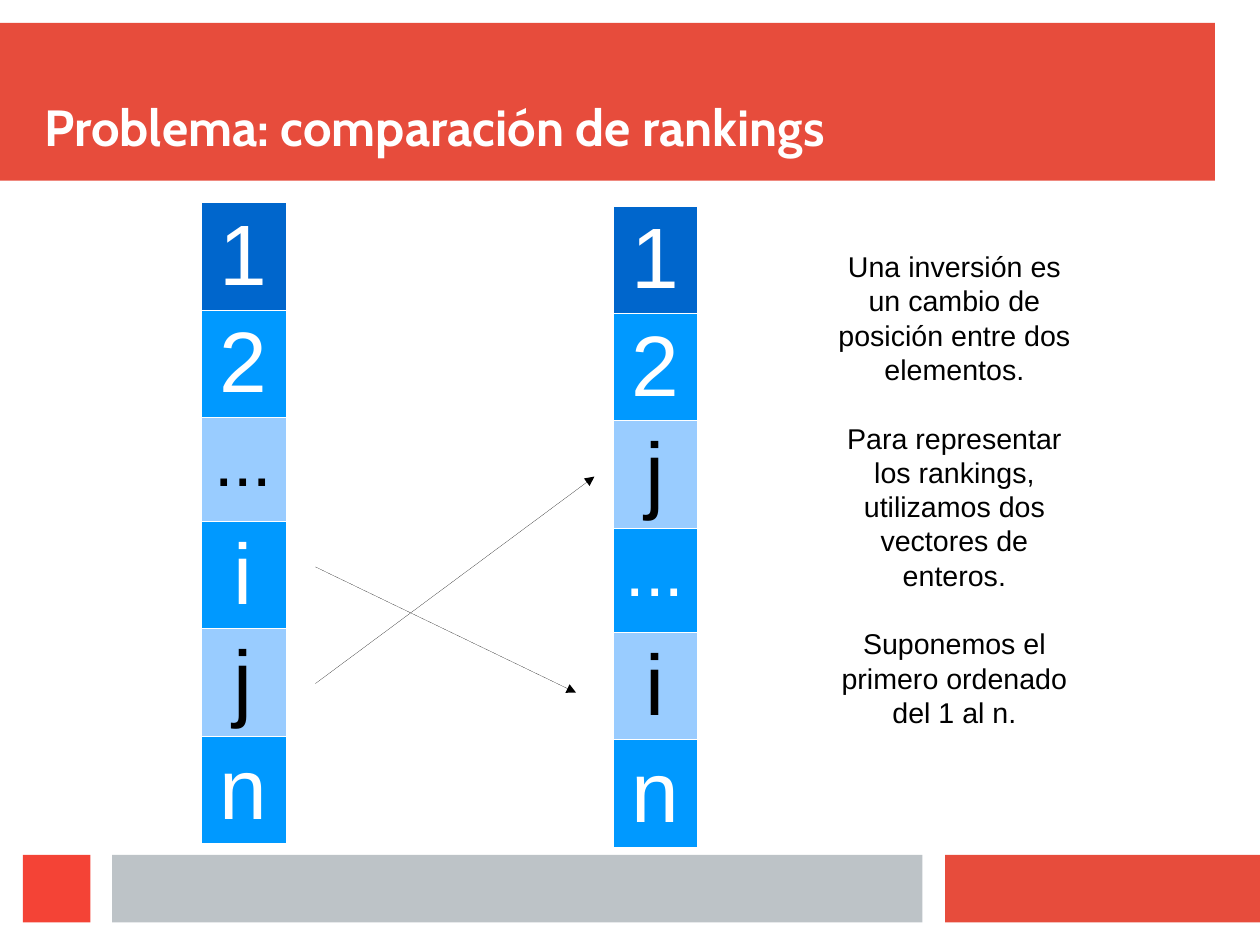
"""Build the slide on comparing rankings by counting inversions."""
from lxml import etree
from pptx import Presentation
from pptx import util as u
from pptx.dml.color import RGBColor
from pptx.enum import shapes, text
from pptx.oxml import ns


def rgb(value):
    return RGBColor.from_string(value)


def write(p, content, size=18, font="Arial", color="000000", bold=False,
          align=text.PP_ALIGN.CENTER):
    p.alignment = align
    r = p.add_run()
    r.text = content
    r.font.size, r.font.name, r.font.bold = u.Pt(size), font, bold
    r.font.color.rgb = rgb(color)


prs = Presentation()
prs.slide_width, prs.slide_height = u.Cm(28), u.Cm(21)
s = prs.slides.add_slide(prs.slide_layouts[5])

bars = [
    (0, 0.2, 10.63, 1.38, "E74C3C"),
    (8.27, 7.48, 2.76, 0.59, "E74C3C"),
    (0.98, 7.48, 7.09, 0.59, "BDC3C7"),
    (0.2, 7.48, 0.59, 0.59, "F44336"),
]
for *box, color in bars:
    sp = s.shapes.add_shape(shapes.MSO_SHAPE.RECTANGLE, *map(u.Inches, box))
    sp.shadow.inherit = False
    sp.fill.solid()
    sp.fill.fore_color.rgb = rgb(color)
    sp.line.fill.background()

title = s.shapes.title
s.shapes._spTree.append(title._element)
title.left, title.top = u.Inches(0.39), u.Inches(0.39)
title.width, title.height = u.Inches(10.24), u.Inches(0.98)
tf = title.text_frame
tf.margin_left = tf.margin_right = tf.margin_top = tf.margin_bottom = 0
tf.vertical_anchor = text.MSO_ANCHOR.BOTTOM
write(tf.paragraphs[0], "Problema: comparación de rankings", size=32,
      font="Cabin", color="FFFFFF", bold=True, align=text.PP_ALIGN.LEFT)

DARK, MID, LIGHT = "0066CC", "0099FF", "99CCFF"
rankings = [
    (5.36, 1.8, ["1", "2", "j", "...", "i", "n"]),
    (1.76, 1.77, ["1", "2", "...", "i", "j", "n"]),
]
for left, top, items in rankings:
    frame = s.shapes.add_table(len(items), 1, u.Inches(left), u.Inches(top),
                               u.Inches(0.74), u.Inches(5.62))
    table = frame.table
    for i, (item, fill) in enumerate(zip(items, [DARK, MID, LIGHT, MID, LIGHT, MID])):
        table.rows[i].height = u.Inches(0.91 if item == "..." else 0.94)
        cell = table.cell(i, 0)
        cell.margin_top = cell.margin_bottom = u.Inches(0.05)
        tcPr = cell._tc.get_or_add_tcPr()
        for side in ("lnL", "lnR", "lnT", "lnB"):
            ln = etree.SubElement(tcPr, ns.qn(f"a:{side}"), w="720")
            solid = etree.SubElement(ln, ns.qn("a:solidFill"))
            etree.SubElement(solid, ns.qn("a:srgbClr"), val="FFFFFF")
        cell.fill.solid()
        cell.fill.fore_color.rgb = rgb(fill)
        write(cell.text_frame.paragraphs[0], item,
              size=44 if item == "..." else 54,
              color="000000" if fill == LIGHT else "FFFFFF")

notes = [
    "Una inversión es un cambio de posición entre dos elementos.",
    "Para representar los rankings, utilizamos dos vectores de enteros.",
    "Suponemos el primero ordenado del 1 al n.",
]
tf = s.shapes.add_textbox(u.Inches(7.17), u.Inches(2.13),
                          u.Inches(2.36), u.Inches(4.02)).text_frame
tf.word_wrap = True
for i, note in enumerate(notes):
    p = tf.add_paragraph() if i else tf.paragraphs[0]
    p.line_spacing = u.Pt(21.6)
    p.space_before = u.Pt(21.6 if i else 0)
    write(p, note)

for ends in [(2.76, 4.96, 5.04, 6.06), (2.76, 5.98, 5.2, 4.17)]:
    arrow = s.shapes.add_connector(shapes.MSO_CONNECTOR.STRAIGHT, *map(u.Inches, ends))
    arrow.line.color.rgb = rgb("000000")
    ln = arrow.line._get_or_add_ln()
    ln.set("w", "0")
    etree.SubElement(ln, ns.qn("a:tailEnd"), type="triangle")
    etree.SubElement(arrow._element.spPr, ns.qn("a:effectLst"))

prs.save("out.pptx")
